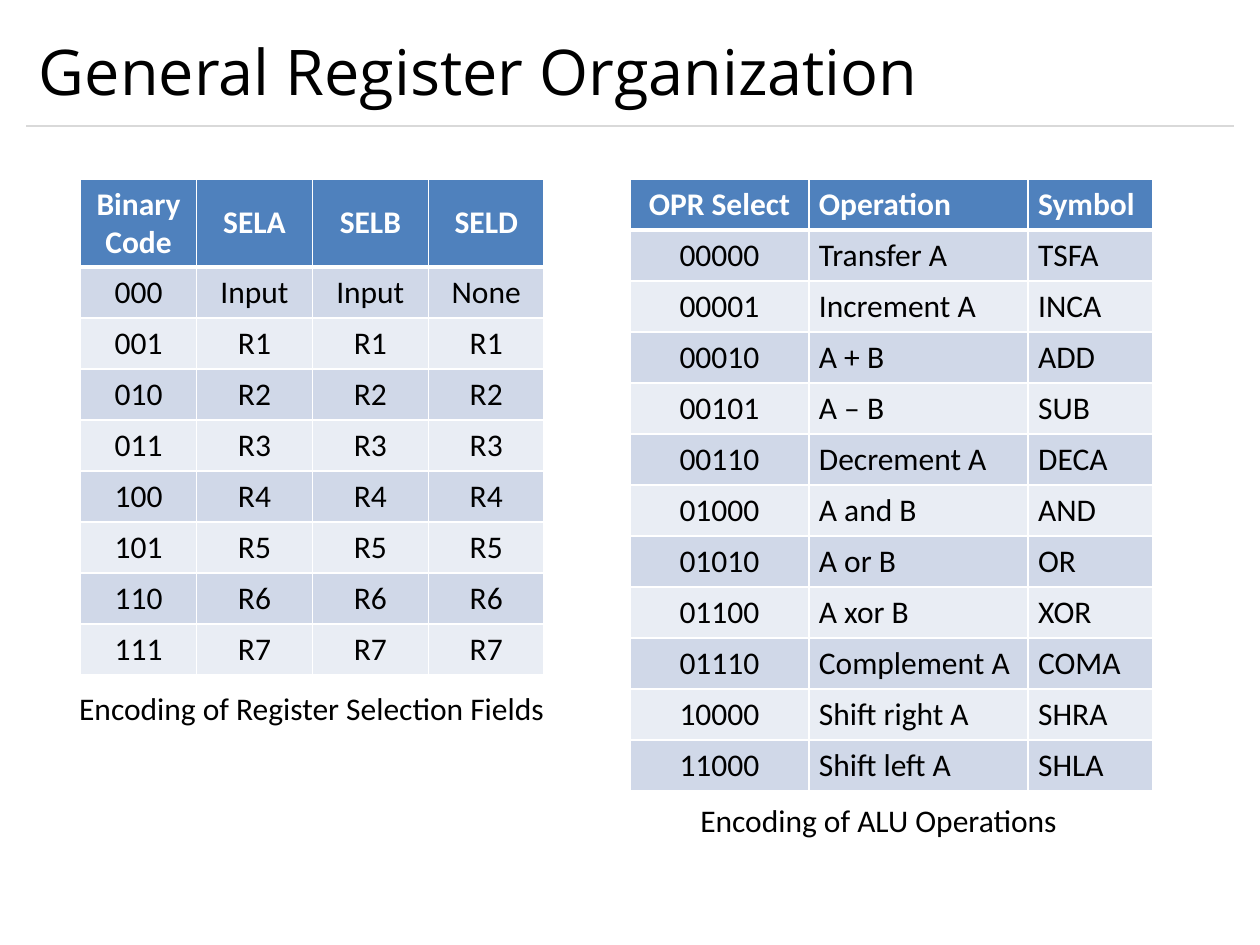
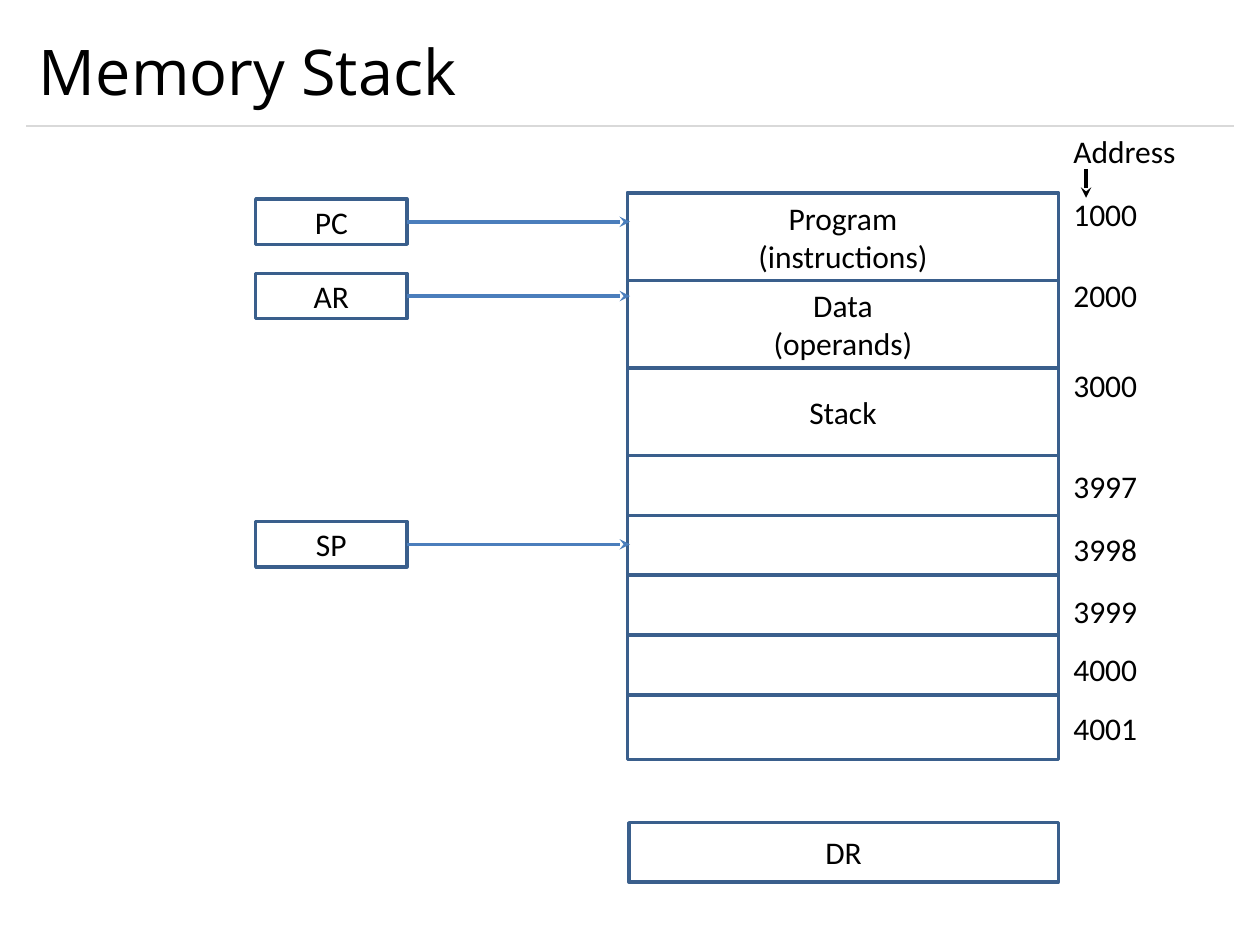
from lxml import etree
from pptx import Presentation
from pptx.dml.color import RGBColor
from pptx.enum.shapes import MSO_CONNECTOR, MSO_SHAPE
from pptx.enum.text import MSO_ANCHOR, PP_ALIGN
from pptx.oxml.ns import qn
from pptx.util import Inches, Pt

STRAIGHT = MSO_CONNECTOR.STRAIGHT
RECTANGLE = MSO_SHAPE.RECTANGLE
LEFT, CENTER = PP_ALIGN.LEFT, PP_ALIGN.CENTER
TOP, MIDDLE = MSO_ANCHOR.TOP, MSO_ANCHOR.MIDDLE

COLORS = {
    "text": "000000",
    "white": "FFFFFF",
    "rule": "D9D9D9",
    "header": "4F81BD",
    "odd_row": "D0D8E8",
    "even_row": "E9EDF4",
    "outline": "3A5F8C",
    "arrow": "4B7EBC",
}
TITLE_FONT, BODY_FONT = "Open Sans", "Calibri"
ROW_HEIGHT = 0.405

REGISTER_ROWS = [
    ["Binary Code", "SELA", "SELB", "SELD"],
    ["000", "Input", "Input", "None"],
] + [[f"{number:03b}"] + [f"R{number}"] * 3 for number in range(1, 8)]

OPERATION_ROWS = [
    ["OPR Select", "Operation", "Symbol"],
    ["00000", "Transfer A", "TSFA"],
    ["00001", "Increment A", "INCA"],
    ["00010", "A + B", "ADD"],
    ["00101", "A – B", "SUB"],
    ["00110", "Decrement A", "DECA"],
    ["01000", "A and B", "AND"],
    ["01010", "A or B", "OR"],
    ["01100", "A xor B", "XOR"],
    ["01110", "Complement A", "COMA"],
    ["10000", "Shift right A", "SHRA"],
    ["11000", "Shift left A", "SHLA"],
]


def rgb(name):
    """Return the named colour."""
    return RGBColor.from_string(COLORS[name])


def write(frame, text, align=LEFT, anchor=TOP, size=18, font=BODY_FONT,
          color="text", bold=False):
    """Fill a text frame, one paragraph for each line of text."""
    frame.text = text
    frame.vertical_anchor = anchor
    for para in frame.paragraphs:
        para.alignment = align
        para.font.size = Pt(size)
        para.font.name = font
        para.font.bold = bold
        para.font.color.rgb = rgb(color)


def add_label(page, text, left, top, width, height, wrap=True, **style):
    """Add a text box."""
    box = page.shapes.add_textbox(
        Inches(left), Inches(top), Inches(width), Inches(height))
    box.text_frame.word_wrap = wrap
    write(box.text_frame, text, **style)


def add_box(page, text, left, top, width, height):
    """Add an outlined, unfilled rectangle with centred text."""
    box = page.shapes.add_shape(
        RECTANGLE, Inches(left), Inches(top), Inches(width), Inches(height))
    box.shadow.inherit = False
    box.fill.background()
    box.line.color.rgb = rgb("outline")
    box.line.width = Pt(2)
    if text:
        write(box.text_frame, text, CENTER, MIDDLE)


def add_line(page, start, end, color, width, arrow=False):
    """Add a straight line, with a stealth arrowhead at its end if asked."""
    line = page.shapes.add_connector(
        STRAIGHT, *[Inches(value) for value in (*start, *end)])
    line.line.color.rgb = rgb(color)
    line.line.width = Pt(width)
    properties = line.element.spPr
    if arrow:
        etree.SubElement(properties.find(qn("a:ln")), qn("a:tailEnd"), type="stealth")
    etree.SubElement(properties, qn("a:effectLst"))


def add_page(deck, title):
    """Add a blank slide with the shared title and rule."""
    page = deck.slides.add_slide(deck.slide_layouts[6])
    add_line(page, (0.21, 1), (9.79, 1), "rule", 0.75)
    add_label(page, title, 0.21, 0.12, 9.58, 0.88,
              anchor=MIDDLE, size=36, font=TITLE_FONT)
    return page


def set_borders(cell, is_header):
    """Draw white cell borders, heavier between the header and the body."""
    properties = cell._tc.get_or_add_tcPr()
    for side in "LRTB":
        width = 3 if is_header and side == "B" else 1
        border = etree.SubElement(properties, qn(f"a:ln{side}"), w=str(Pt(width)))
        fill = etree.SubElement(border, qn("a:solidFill"))
        etree.SubElement(fill, qn("a:srgbClr"), val=COLORS["white"])


def add_code_table(page, rows, left, top, widths, header_height, margin, aligns):
    """Add a banded table with a coloured header row."""
    heights = [header_height] + [ROW_HEIGHT] * (len(rows) - 1)
    table = page.shapes.add_table(
        len(rows), len(widths), Inches(left), Inches(top),
        Inches(sum(widths)), Inches(sum(heights))).table
    for column, width in zip(table.columns, widths):
        column.width = Inches(width)
    for index, (row, height, texts) in enumerate(zip(table.rows, heights, rows)):
        row.height = Inches(height)
        is_header = index == 0
        band = "header" if is_header else "odd_row" if index % 2 else "even_row"
        for cell, text, align in zip(row.cells, texts, aligns):
            write(cell.text_frame, text, align,
                  color="white" if is_header else "text", bold=is_header)
            cell.vertical_anchor = MIDDLE
            cell.margin_left = cell.margin_right = Inches(margin)
            set_borders(cell, is_header)
            cell.fill.solid()
            cell.fill.fore_color.rgb = rgb(band)


def add_memory(page, left, top, width):
    """Add the memory column: three sections, then the stack words."""
    section, word = 0.695, 0.475
    add_box(page, "", left, top, width, 4.5)
    for text in ("Program\n(instructions)", "Data\n(operands)", "Stack"):
        add_box(page, text, left, top, width, section)
        top += section
    for index in range(4):
        add_box(page, "", left, top + index * word, width, word)


def add_addresses(page, left, top):
    """Add the address heading, its arrow and the addresses below it."""
    add_label(page, "Address", left, top, 1.02, 0.4, wrap=False)
    add_line(page, (left + 0.2, top + 0.34), (left + 0.2, top + 0.57),
             "text", 2, arrow=True)
    offsets = {"1000": 0.5, "2000": 1.14, "3000": 1.86, "3997": 2.66,
               "3998": 3.16, "3999": 3.65, "4000": 4.11, "4001": 4.58}
    for address, offset in offsets.items():
        add_label(page, address, left, top + offset, 0.71, 0.4, wrap=False)


def add_pointer(page, name, left, top, target):
    """Add a register box with an arrow to the memory column."""
    width, height = 1.2, 0.36
    middle = top + height / 2
    add_box(page, name, left, top, width, height)
    add_line(page, (left + width, middle), (target, middle), "arrow", 2, arrow=True)


def build_register_page(deck):
    """Build the slide with the two encoding tables."""
    page = add_page(deck, "General Register Organization")
    add_code_table(page, REGISTER_ROWS, 0.64, 1.42, [0.92] * 4, 0.7, 0.04, [CENTER] * 4)
    add_code_table(page, OPERATION_ROWS, 5, 1.42, [1.42, 1.74, 0.99],
                   ROW_HEIGHT, 0.08, [CENTER, LEFT, LEFT])
    add_label(page, "Encoding of Register Selection Fields", 0.53, 5.42, 3.9, 0.44)
    add_label(page, "Encoding of ALU Operations", 5.46, 6.31, 3.23, 0.36)


def build_stack_page(deck):
    """Build the slide with the memory map and its registers."""
    page = add_page(deck, "Memory Stack")
    add_memory(page, 4.98, 1.53, 3.42)
    add_box(page, "DR", 4.99, 6.53, 3.41, 0.47)
    add_addresses(page, 8.42, 1)
    for name, top in (("PC", 1.58), ("AR", 2.17), ("SP", 4.14)):
        add_pointer(page, name, 2.03, top, 5)


def main():
    """Build and save the deck."""
    deck = Presentation()
    deck.slide_width, deck.slide_height = Inches(10), Inches(7.5)
    build_register_page(deck)
    build_stack_page(deck)
    deck.save("out.pptx")


if __name__ == "__main__":
    main()
